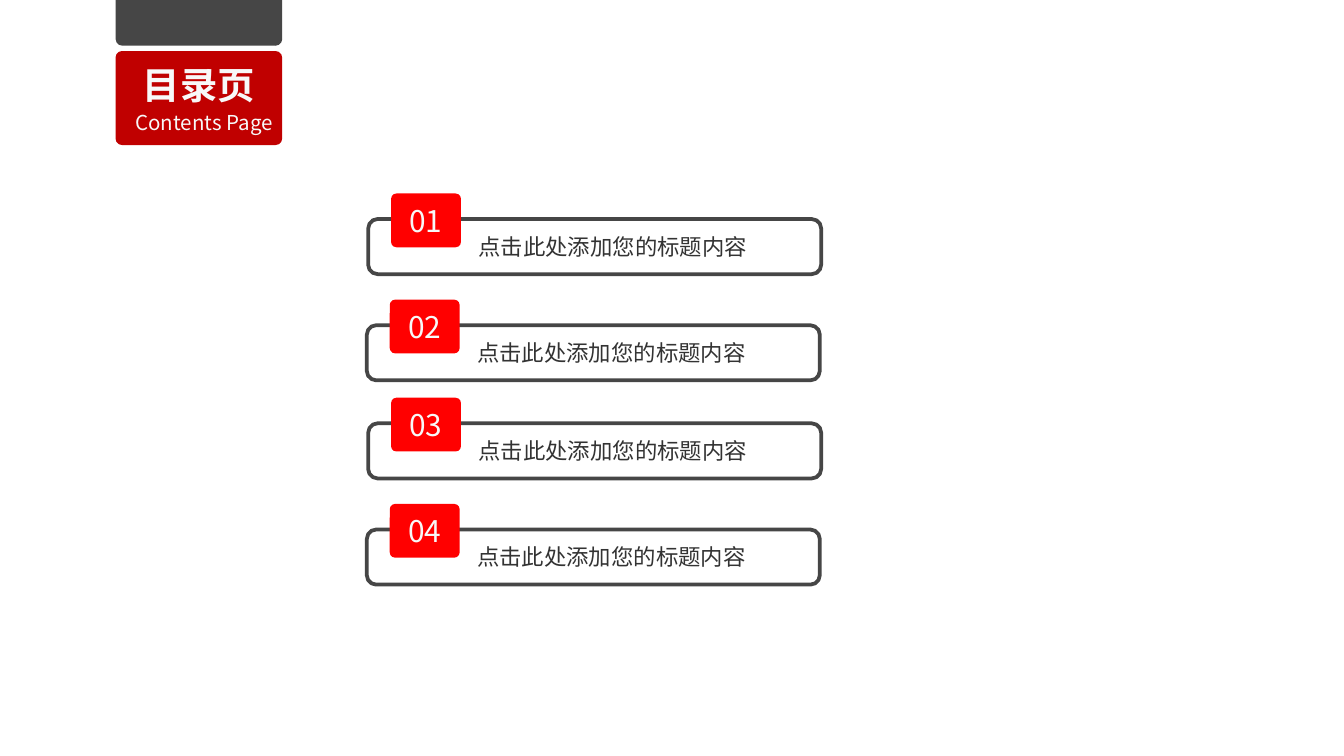
from lxml import etree
from pptx import Presentation
from pptx.dml.color import RGBColor
from pptx.enum import shapes, text
from pptx.oxml import ns
from pptx.util import Inches, Pt

FONT = "Noto Sans CJK SC"
GRAY, DARK, RED, PALE, INK = "464646", "C00000", "FF0000", "F8F8F8", "333333"
KIND = shapes.MSO_SHAPE


def rgb(code):
    return RGBColor.from_string(code)


def write(shape, words, size, color, bold=False):
    """Put one centred line of text in a shape."""
    para = shape.text_frame.paragraphs[0]
    para.text = words
    para.alignment = text.PP_ALIGN.CENTER
    for run in para.runs:
        font = run.font
        font.name, font.size, font.bold = FONT, Pt(size), bold
        font.color.rgb = rgb(color)
        face = etree.SubElement(run._r.get_or_add_rPr(), ns.qn("a:ea"))
        face.set("typeface", FONT)
    return para


def add_block(slide, kind, box, round_by, fill=None, line=None):
    """Add a rounded block, filled or outlined."""
    block = slide.shapes.add_shape(kind, *map(Inches, box))
    block.shadow.inherit = False
    block.adjustments[0] = round_by
    if fill:
        block.fill.solid()
        block.fill.fore_color.rgb = rgb(fill)
    else:
        block.fill.background()
    if line:
        block.line.color.rgb = rgb(line)
        block.line.width = Pt(2)
    else:
        block.line.fill.background()
    block.text_frame.vertical_anchor = text.MSO_ANCHOR.MIDDLE
    return block


def add_label(slide, box, words, size, bold=False):
    label = slide.shapes.add_textbox(*map(Inches, box))
    frame = label.text_frame
    frame.word_wrap = True
    frame.margin_left = frame.margin_right = Inches(0.08)
    frame.margin_top = frame.margin_bottom = Inches(0.04)
    write(label, words, size, PALE, bold)


def add_header(slide):
    # Gray tab hanging from the top edge
    tab = add_block(slide, KIND.ROUND_2_SAME_RECTANGLE,
                    (0.86, 0, 1.24, 0.34), 0.15, GRAY)
    tab.rotation = 180
    # Red title block
    add_block(slide, KIND.ROUNDED_RECTANGLE,
              (0.86, 0.38, 1.24, 0.7), 0.07, DARK)
    add_label(slide, (0.83, 0.78, 1.38, 0.26), "Contents Page", 11)
    add_label(slide, (0.86, 0.42, 1.24, 0.41), "目录页", 20, True)


def add_entry(slide, num, left, top):
    # Outlined bar with the title
    bar = add_block(slide, KIND.ROUNDED_RECTANGLE,
                    (left, top, 3.37, 0.41), 0.17, line=GRAY)
    para = write(bar, "点击此处添加您的标题内容", 12, INK)
    para._p.get_or_add_pPr().set("indent", str(Inches(0.27)))
    # Number badge over its upper left corner
    badge = add_block(slide, KIND.ROUNDED_RECTANGLE,
                      (left + 0.17, top - 0.19, 0.52, 0.4), 0.1, RED)
    write(badge, f"{num:02d}", 16, PALE)


def main():
    deck = Presentation()
    # Widescreen, 16 to 9
    deck.slide_width, deck.slide_height = Inches(10), Inches(10 * 9 / 16)
    slide = deck.slides.add_slide(deck.slide_layouts[6])
    add_header(slide)
    # Two pairs of entries, the second of each a touch to the left
    for i in range(4):
        pair, item = divmod(i, 2)
        add_entry(slide, i + 1, 2.74 - 0.01 * item,
                  1.63 + 1.52 * pair + 0.79 * item)
    deck.save("out.pptx")


if __name__ == "__main__":
    main()
